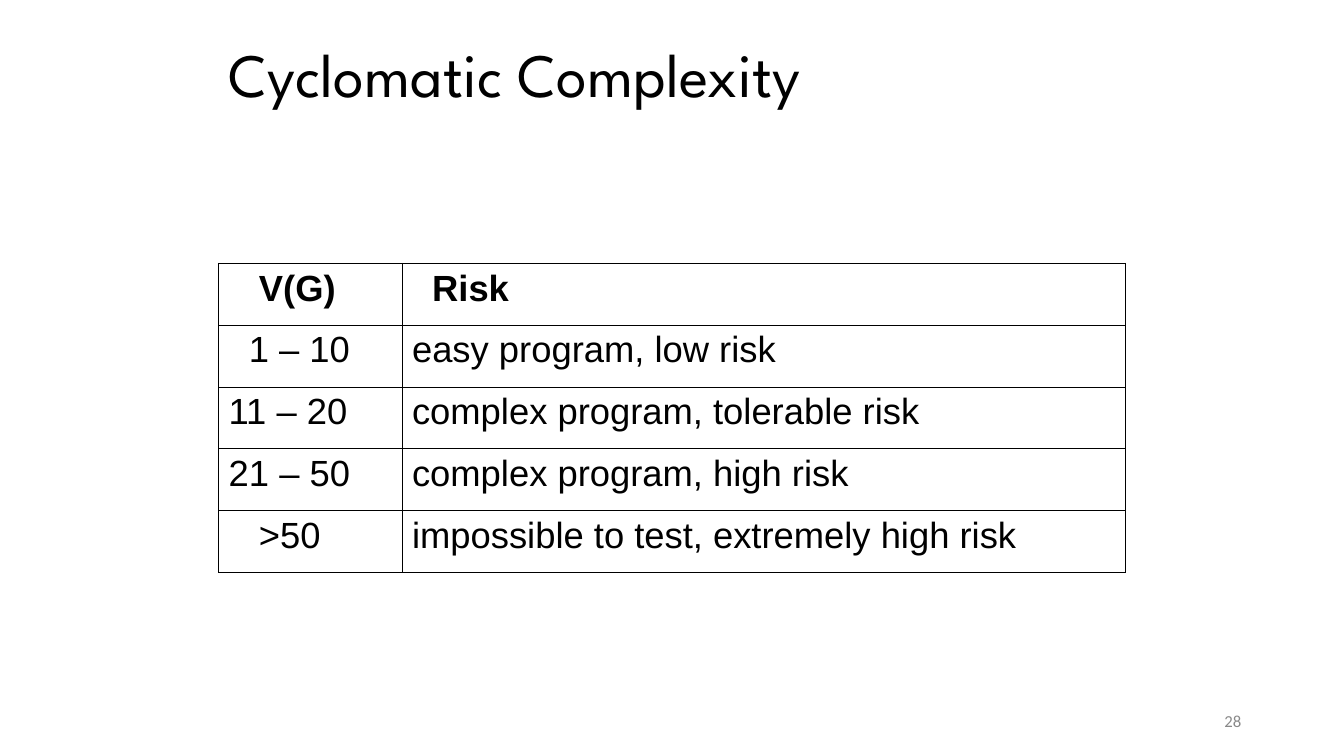
from dataclasses import dataclass

from lxml.etree import SubElement
from pptx import Presentation
from pptx.dml.color import RGBColor
from pptx.enum.text import MSO_ANCHOR, MSO_AUTO_SIZE, PP_ALIGN
from pptx.oxml.ns import qn
from pptx.util import Inches, Pt


@dataclass(frozen=True)
class Theme:
    ink: RGBColor = RGBColor(0x00, 0x00, 0x00)
    muted: RGBColor = RGBColor(0x89, 0x89, 0x89)
    title_size: Pt = Pt(44)
    table_size: Pt = Pt(26)
    number_size: Pt = Pt(12)
    border: Pt = Pt(0.45)


theme = Theme()


def style(paragraph, face, size, color, bold=False):
    font = paragraph.font
    font.name, font.size, font.bold = face, size, bold
    font.color.rgb = color


def add_borders(cell):
    properties = cell._tc.get_or_add_tcPr()
    for side in ("a:lnL", "a:lnR", "a:lnT", "a:lnB"):
        line = SubElement(properties, qn(side), w=str(theme.border))
        fill = SubElement(line, qn("a:solidFill"))
        SubElement(fill, qn("a:srgbClr"), val=str(theme.ink))


prs = Presentation()
prs.slide_width, prs.slide_height = Inches(13.34), Inches(7.5)
slide = prs.slides.add_slide(prs.slide_layouts[5])

# Title
title = slide.shapes.title
title.left, title.top = Inches(2.17), Inches(0.3)
title.width, title.height = Inches(9), Inches(0.93)
title.text_frame.text = "Cyclomatic Complexity"
title.text_frame.auto_size = MSO_AUTO_SIZE.NONE
title.text_frame.vertical_anchor = MSO_ANCHOR.MIDDLE
heading = title.text_frame.paragraphs[0]
heading.alignment = PP_ALIGN.LEFT
heading.line_spacing = 0.9
style(heading, "League Spartan", theme.title_size, theme.ink)

# Risk table: each cell is its text and its extra indent in inches
risk_levels = [
    (("V(G)", 0.3), ("Risk", 0.2)),
    (("1 – 10", 0.2), ("easy program, low risk", 0)),
    (("11 – 20", 0), ("complex program, tolerable risk", 0)),
    (("21 – 50", 0), ("complex program, high risk", 0)),
    ((">50", 0.3), ("impossible to test, extremely high risk", 0)),
]
risk_table = slide.shapes.add_table(
    len(risk_levels), 2, Inches(2.17), Inches(2.61), Inches(9), Inches(3.07)
).table
risk_table.first_row = True
risk_table.horz_banding = False
for column, width in zip(risk_table.columns, (1.82, 7.18)):
    column.width = Inches(width)

for row, level in enumerate(risk_levels):
    for col, (wording, indent) in enumerate(level):
        cell = risk_table.cell(row, col)
        cell.text = wording
        cell.margin_left = Inches(0.1 + indent)
        add_borders(cell)
        cell.fill.background()
        style(cell.text_frame.paragraphs[0], "Arial", theme.table_size,
              theme.ink, bold=row == 0)

# Slide number
number = slide.shapes.add_textbox(
    Inches(9.42), Inches(6.95), Inches(3), Inches(0.4)).text_frame
number.word_wrap = True
number.vertical_anchor = MSO_ANCHOR.MIDDLE
number.text = "28"
number.paragraphs[0].alignment = PP_ALIGN.RIGHT
style(number.paragraphs[0], "Calibri", theme.number_size, theme.muted)

prs.save("out.pptx")
